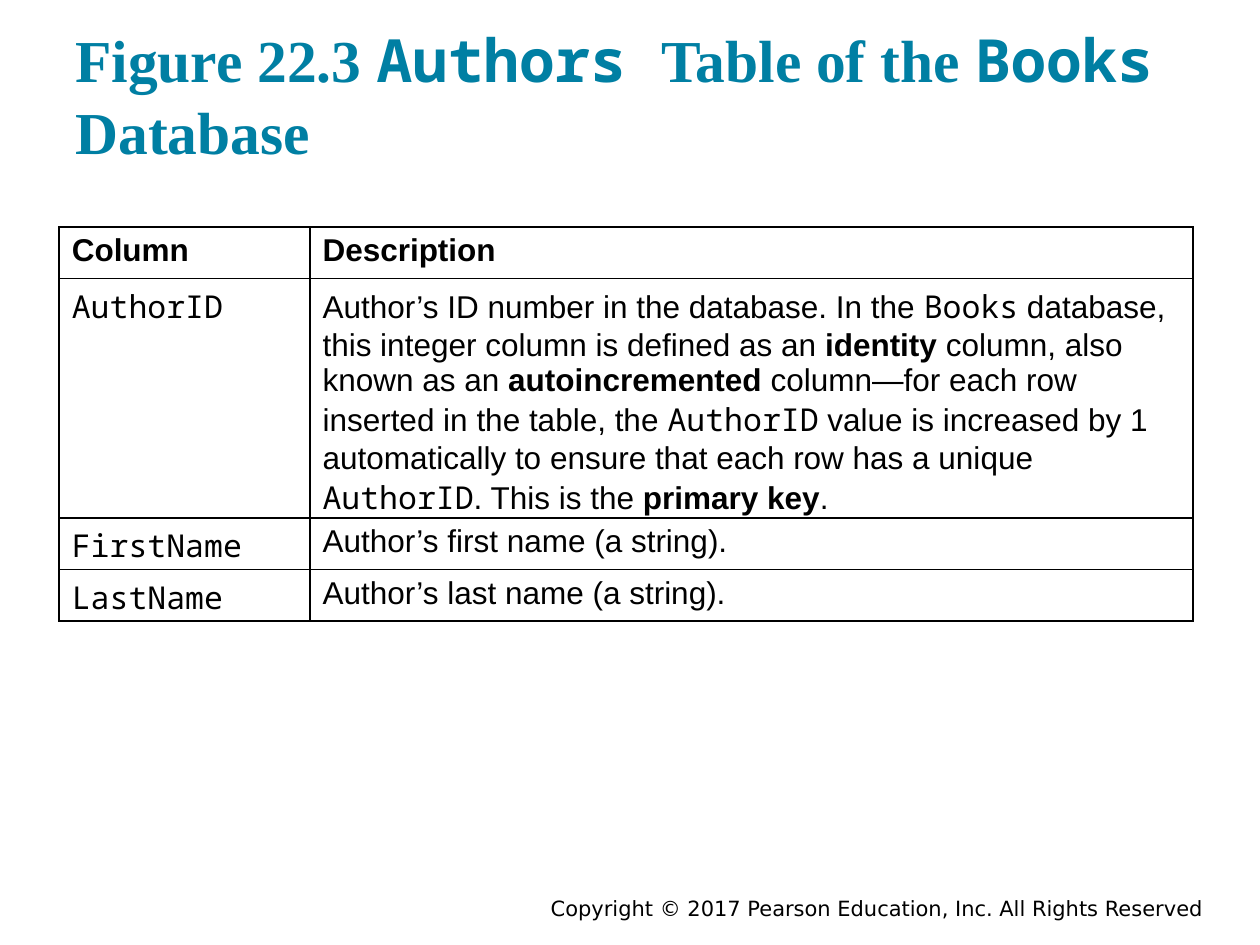
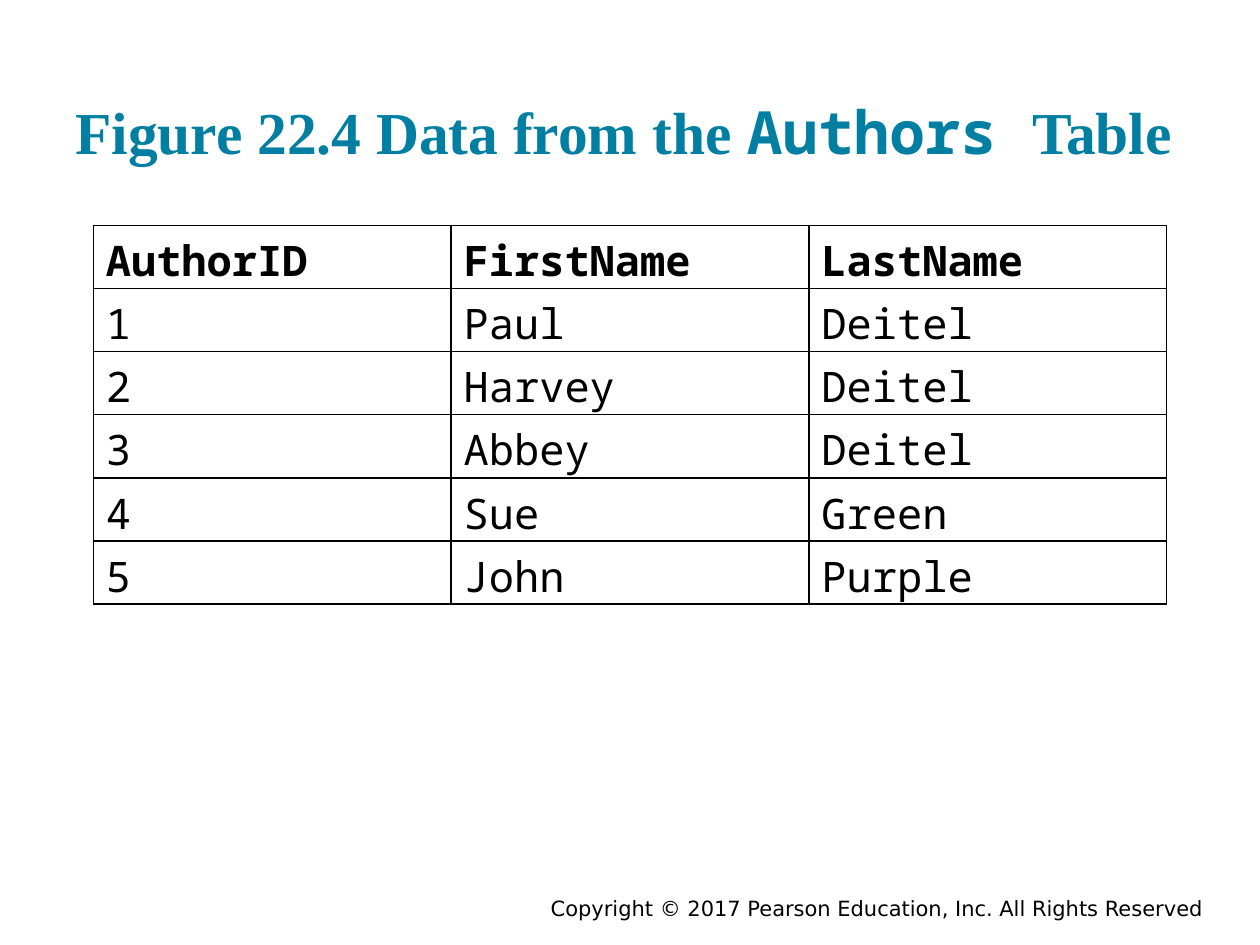
import pptx
import pptx.util
import pptx.dml.color
import pptx.enum.text
import pptx.oxml
import pptx.oxml.ns

Inches, Pt = pptx.util.Inches, pptx.util.Pt
COLORS = {"title": "007FA3", "text": "000000", "border": "000000"}
SERIF, SANS, MONO = "Times New Roman", "Arial", "Noto Sans Mono"
FOOTER_FONT = "DejaVu Sans"
COPYRIGHT = "Copyright © 2017 Pearson Education, Inc. All Rights Reserved"
TITLE_BOX = (0.5, 0.25, 9, 1.17)
FOOTER_BOX = (3, 7.08, 6.65, 0.25)
ROW_HEIGHT = 0.41

COLUMN_TITLE = [
    ("Figure 22.3 ", SERIF, True), ("Authors ", MONO, True),
    ("Table of the ", SERIF, True), ("Books ", MONO, True),
    ("Database", SERIF, True),
]
DATA_TITLE = [
    ("Figure 22.4 Data from the ", SERIF, True), ("Authors ", MONO, True),
    ("Table", SERIF, True),
]
AUTHOR_ID_DESCRIPTION = [
    ("Author’s ID number in the database. In the ", SANS, False),
    ("Books", MONO, False),
    (" database, this integer column is defined as an ", SANS, False),
    ("identity", SANS, True),
    (" column, also known as an ", SANS, False),
    ("autoincremented", SANS, True),
    (" column—for each row inserted in the table, the ", SANS, False),
    ("AuthorID", MONO, False),
    (" value is increased by 1 automatically to ensure that each row has a unique ",
     SANS, False),
    ("AuthorID", MONO, False),
    (". This is the ", SANS, False),
    ("primary key", SANS, True),
    (".", SANS, False),
]
COLUMN_ROWS = [
    [[("Column", SANS, True)], [("Description", SANS, True)]],
    [[("AuthorID", MONO, False)], AUTHOR_ID_DESCRIPTION],
    [[("FirstName", MONO, False)], [("Author’s first name (a string).", SANS, False)]],
    [[("LastName", MONO, False)], [("Author’s last name (a string).", SANS, False)]],
]
AUTHORS = [
    ("AuthorID", "FirstName", "LastName"),
    ("1", "Paul", "Deitel"),
    ("2", "Harvey", "Deitel"),
    ("3", "Abbey", "Deitel"),
    ("4", "Sue", "Green"),
    ("5", "John", "Purple"),
]
DATA_ROWS = [[[(value, MONO, i == 0)] for value in row] for i, row in enumerate(AUTHORS)]


def add_runs(p, runs, size, color):
    """Add (text, font, bold) runs to a paragraph."""
    for text, font, bold in runs:
        r = p.add_run()
        r.text = text
        r.font.name, r.font.size, r.font.bold = font, Pt(size), bold
        r.font.color.rgb = pptx.dml.color.RGBColor.from_string(COLORS[color])


def set_title(slide, runs):
    sp = slide.shapes.title
    sp.left, sp.top, sp.width, sp.height = map(Inches, TITLE_BOX)
    tf = sp.text_frame
    tf.margin_left = tf.margin_right = tf.margin_top = tf.margin_bottom = Inches(0.1)
    tf.word_wrap = True
    tf.auto_size = pptx.enum.text.MSO_AUTO_SIZE.NONE
    tf.vertical_anchor = pptx.enum.text.MSO_ANCHOR.BOTTOM
    p = tf.paragraphs[0]
    p.alignment = pptx.enum.text.PP_ALIGN.LEFT
    add_runs(p, runs, 34, "title")


def add_footer(slide):
    tf = slide.shapes.add_textbox(*map(Inches, FOOTER_BOX)).text_frame
    tf.word_wrap = True
    tf.vertical_anchor = pptx.enum.text.MSO_ANCHOR.MIDDLE
    p = tf.paragraphs[0]
    p.alignment = pptx.enum.text.PP_ALIGN.RIGHT
    add_runs(p, [(COPYRIGHT, FOOTER_FONT, False)], 12, "text")


def outline_cell(cell):
    cell.fill.background()
    tc_pr = cell._tc.get_or_add_tcPr()
    for i, side in enumerate("LRTB"):
        tc_pr.insert(i, pptx.oxml.parse_xml(
            f'<a:ln{side} {pptx.oxml.ns.nsdecls("a")} w="{Pt(1)}"><a:solidFill>'
            f'<a:srgbClr val="{COLORS["border"]}"/></a:solidFill></a:ln{side}>'))


def add_grid(slide, left, top, col_widths, rows, size):
    """Add an outlined table; each cell is a list of runs."""
    table = slide.shapes.add_table(
        len(rows), len(col_widths), Inches(left), Inches(top),
        Inches(sum(col_widths)), Inches(ROW_HEIGHT * len(rows))).table
    table.horz_banding = False
    for column, width in zip(table.columns, col_widths):
        column.width = Inches(width)
    for i, row in enumerate(rows):
        table.rows[i].height = Inches(ROW_HEIGHT)
        for j, runs in enumerate(row):
            cell = table.cell(i, j)
            outline_cell(cell)
            add_runs(cell.text_frame.paragraphs[0], runs, size, "text")


def add_table_slide(prs, title, left, top, col_widths, rows, size):
    slide = prs.slides.add_slide(prs.slide_layouts.get_by_name("Title Only"))
    add_footer(slide)
    set_title(slide, title)
    add_grid(slide, left, top, col_widths, rows, size)


def main():
    prs = pptx.Presentation()
    prs.slide_width, prs.slide_height = Inches(10), Inches(7.5)
    add_table_slide(prs, COLUMN_TITLE, 0.47, 1.8, [1.99, 7.01], COLUMN_ROWS, 18)
    add_table_slide(prs, DATA_TITLE, 0.74, 1.79, [2.84] * 3, DATA_ROWS, 24)
    prs.save("out.pptx")


if __name__ == "__main__":
    main()
